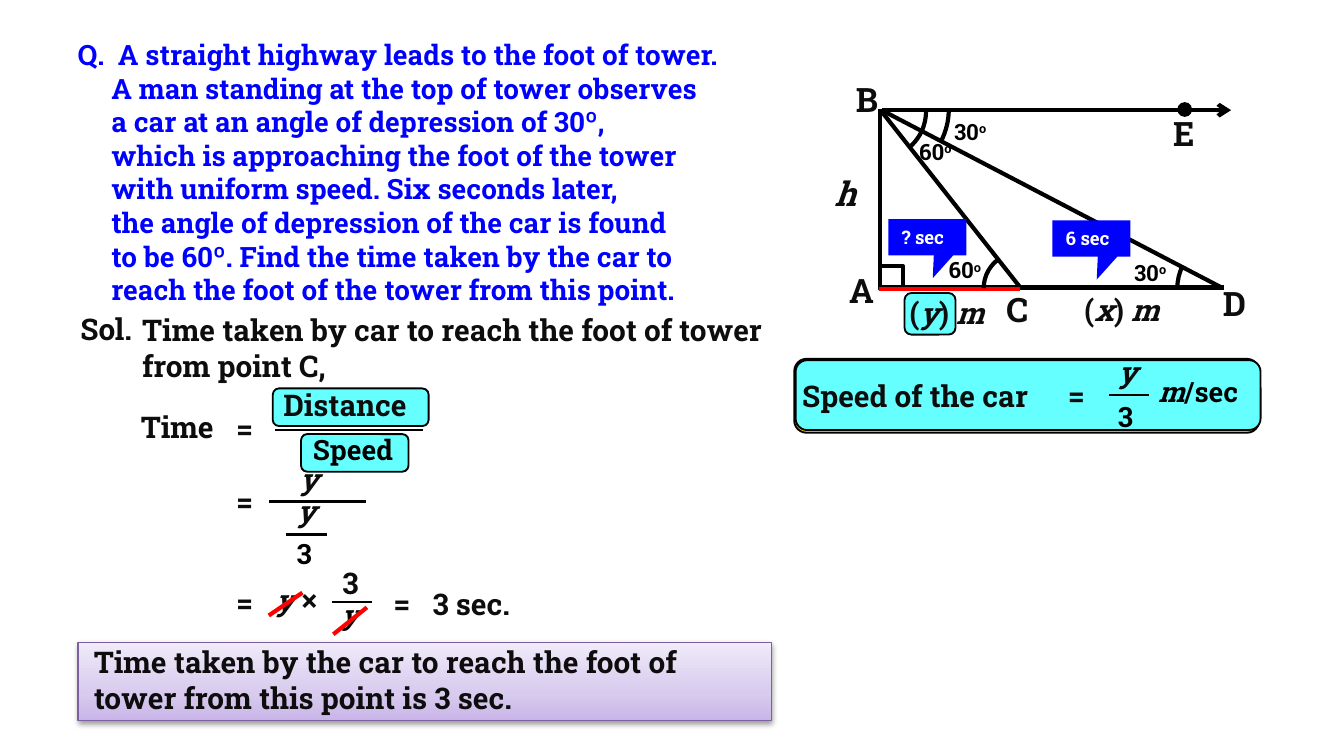
from lxml import etree
from pptx import Presentation
from pptx.dml.color import RGBColor
from pptx.enum import shapes, text
from pptx.oxml import parse_xml
from pptx.oxml.ns import nsdecls, qn
from pptx.util import Inches, Pt


def rgb(code):
    return RGBColor.from_string(code)


def write(sp, content, size=16, color="0D0D0D", align=None, wrap=True, indent=0):
    tf = sp.text_frame
    tf.word_wrap = wrap
    tf.auto_size = text.MSO_AUTO_SIZE.SHAPE_TO_FIT_TEXT
    for i, line in enumerate(content.split("\n")):
        p = tf.paragraphs[0] if i == 0 else tf.add_paragraph()
        p.alignment = align
        if indent:
            p._p.get_or_add_pPr().set("marL", str(Inches(indent)))
        for part in line.split("|"):
            r = p.add_run()
            r.text = part.lstrip("_^")
            r.font.name = "Roboto Slab"
            r.font.size = Pt(size)
            r.font.bold = True
            r.font.italic = part.startswith("_")
            r.font.color.rgb = rgb(color)
            if part.startswith("^"):
                r.font._element.set("baseline", "30000")


prs = Presentation()
prs.slide_width = Inches(10)
prs.slide_height = prs.slide_width * 9 // 16
s = prs.slides.add_slide(prs.slide_layouts[6])
kinds = shapes.MSO_SHAPE

for x, y, w, h, kind, fill, line, width in [
    (2.24, 3.23, 0.8, 0.28, kinds.ROUNDED_RECTANGLE, "66FFFF", "000000", 1),
    (6.73, 2.18, 0.38, 0.31, kinds.ROUNDED_RECTANGLE, "66FFFF", "000000", 1),
    (2.03, 2.89, 1.16, 0.28, kinds.ROUNDED_RECTANGLE, "66FFFF", "000000", 1),
    (5.91, 2.67, 3.46, 0.55, kinds.ROUNDED_RECTANGLE, "FFC000", "000000", 1),
    (5.92, 2.68, 3.46, 0.52, kinds.ROUNDED_RECTANGLE, "66FFFF", "000000", 1),
    (6.55, 1.98, 0.17, 0.17, kinds.RECTANGLE, None, "000000", 2),
    (8.76, 0.76, 0.11, 0.11, kinds.OVAL, "000000", None, 0),
]:
    sp = s.shapes.add_shape(kind, Inches(x), Inches(y), Inches(w), Inches(h))
    sp.shadow.inherit = False
    if fill:
        sp.fill.solid()
        sp.fill.fore_color.rgb = rgb(fill)
    else:
        sp.fill.background()
    if line:
        sp.line.color.rgb = rgb(line)
        sp.line.width = Pt(width)
    else:
        sp.line.fill.background()

answer = s.shapes.add_shape(kinds.RECTANGLE, Inches(0.58), Inches(4.78), Inches(5.16), Inches(0.58))
answer.line.color.rgb = rgb("7D60A0")
answer.line.width = Pt(0.75)
stops = "".join(
    f'<a:gs pos="{pos}"><a:srgbClr val="{color}"/></a:gs>'
    for pos, color in [(0, "C9B5E8"), (35000, "D8CBEE"), (100000, "F0EAF9")]
)
answer._element.spPr.find(qn("a:prstGeom")).addnext(parse_xml(
    f'<a:gradFill {nsdecls("a")} rotWithShape="1"><a:gsLst>{stops}</a:gsLst>'
    '<a:lin ang="16200000" scaled="0"/></a:gradFill>'
))
answer._element.spPr.append(parse_xml(
    f'<a:effectLst {nsdecls("a")}><a:outerShdw blurRad="40000" dist="20000" dir="5400000" '
    'rotWithShape="0"><a:srgbClr val="000000"><a:alpha val="38000"/></a:srgbClr>'
    '</a:outerShdw></a:effectLst>'
))

question = """Q.\tA straight highway leads to the foot of tower.
A man standing at the top of tower observes
a car at an angle of depression of 30º,
which is approaching the foot of the tower
with uniform speed. Six seconds later,
the angle of depression of the car is found
to be 60º. Find the time taken by the car to
reach the foot of the tower from this point."""
sp = s.shapes.add_textbox(Inches(0.48), Inches(0.23), Inches(5.76), Inches(2.12))
write(sp, question, size=15, color="0000FF", align=text.PP_ALIGN.JUSTIFY, indent=0.25)
pPr = sp.text_frame.paragraphs[0]._p.get_or_add_pPr()
pPr.set("marL", str(Inches(0.3)))
pPr.set("indent", str(-Inches(0.3)))

for x, y, w, h, size, content in [
    (0.5, 2.26, 0.69, 0.37, 16, "Sol."),
    (0.96, 2.27, 4.99, 0.64, 16, "Time taken by car to reach the foot of tower from point C,"),
    (0.95, 2.99, 0.8, 0.37, 16, "Time"),
    (1.66, 3.01, 0.33, 0.37, 16, "="),
    (2.01, 2.83, 1.31, 0.37, 16, "Distance"),
    (2.23, 3.17, 0.92, 0.35, 15, "Speed"),
    (1.66, 3.55, 0.33, 0.37, 16, "="),
    (2.13, 3.38, 0.35, 0.37, 16, "_y"),
    (2.11, 3.62, 0.37, 0.37, 16, "_y"),
    (2.11, 3.94, 0.3, 0.35, 15, "3"),
    (1.66, 4.3, 0.33, 0.37, 16, "="),
    (1.95, 4.28, 0.6, 0.37, 16, "_y |×"),
    (2.45, 4.15, 0.37, 0.37, 16, "3"),
    (2.44, 4.4, 0.3, 0.35, 15, "_y"),
    (2.83, 4.31, 0.33, 0.37, 16, "="),
    (3.12, 4.31, 0.9, 0.37, 16, "3 sec."),
    (0.6, 4.74, 5.18, 0.64, 16,
     "Time taken by the car to reach the foot of\ntower from this point is 3 sec."),
    (5.87, 2.76, 2.15, 0.37, 16, "Speed of the car"),
    (7.85, 2.76, 0.33, 0.37, 16, "="),
    (8.22, 2.58, 0.37, 0.37, 16, "_y"),
    (8.22, 2.92, 0.3, 0.35, 15, "3"),
    (8.52, 2.74, 0.92, 0.35, 15, "_m|/sec"),
    (6.22, 1.96, 0.4, 0.4, 18, "A"),
    (6.27, 0.54, 0.37, 0.4, 18, "B"),
    (7.39, 2.1, 0.44, 0.4, 18, "C"),
    (9, 2.06, 0.42, 0.4, 18, "D"),
    (8.63, 0.79, 0.36, 0.4, 18, "E"),
    (6.11, 1.24, 0.38, 0.4, 18, "_h"),
    (6.67, 2.14, 0.79, 0.37, 16, "(|_y|)|_ m"),
    (7.97, 2.12, 0.82, 0.37, 16, "(|_x|)|_ m"),
    (7, 0.83, 0.49, 0.3, 12, "30|^o"),
    (6.74, 0.98, 0.52, 0.3, 12, "60|^o"),
    (6.96, 1.86, 0.55, 0.3, 12, "60|^o"),
    (8.34, 1.88, 0.53, 0.3, 12, "30|^o"),
]:
    sp = s.shapes.add_textbox(Inches(x), Inches(y), Inches(w), Inches(h))
    write(sp, content, size=size, color="000000" if size in (12, 15) else "0D0D0D")

for x1, y1, x2, y2, color, width, arrow in [
    (2.05, 3.2, 3.15, 3.2, "000000", 1.5, False),
    (2, 3.73, 2.72, 3.73, "000000", 1.5, False),
    (2.13, 3.98, 2.43, 3.98, "000000", 1.5, False),
    (2.47, 4.48, 2.77, 4.48, "000000", 1.5, False),
    (8.25, 2.94, 8.55, 2.94, "000000", 1.5, False),
    (2.25, 4.41, 2, 4.58, "FF0000", 2.25, False),
    (2.73, 4.52, 2.48, 4.72, "FF0000", 2.25, False),
    (6.55, 0.81, 6.55, 2.14, "000000", 2.25, False),
    (6.56, 0.82, 9.16, 0.82, "000000", 2.25, True),
    (6.56, 0.83, 7.6, 2.15, "000000", 2.25, False),
    (6.56, 0.82, 9.09, 2.14, "000000", 2.25, False),
    (6.54, 2.14, 9.11, 2.14, "000000", 2.25, False),
    (6.54, 2.15, 7.59, 2.15, "FF0000", 2.25, False),
]:
    c = s.shapes.add_connector(shapes.MSO_CONNECTOR.STRAIGHT,
                               Inches(x1), Inches(y1), Inches(x2), Inches(y2))
    c.line.color.rgb = rgb(color)
    c.line.width = Pt(width)
    if arrow:
        etree.SubElement(c.line._get_or_add_ln(), qn("a:tailEnd"), type="arrow")
    etree.SubElement(c._element.spPr, qn("a:effectLst"))

for x, y, d, start, end in [
    (8.76, 1.77, 0.75, 199.85, 0.56),
    (7.32, 1.88, 0.53, 183.69, 0),
    (6.03, 0.3, 1.03, 91.8, 107.79),
    (6.19, 0.48, 0.7, 77.23, 108.66),
]:
    sp = s.shapes.add_shape(kinds.ARC, Inches(x), Inches(y), Inches(d), Inches(d))
    sp.shadow.inherit = False
    sp.adjustments[0], sp.adjustments[1] = start, end
    sp._element.spPr.find(qn("a:xfrm")).set("flipH", "1")
    sp.fill.background()
    sp.line.color.rgb = rgb("000000")
    sp.line.width = Pt(2.25)

for x, y, content in [(7.83, 1.64, "6 sec"), (6.61, 1.63, "? sec")]:
    sp = s.shapes.add_shape(kinds.RECTANGULAR_CALLOUT, Inches(x), Inches(y), Inches(0.58), Inches(0.27))
    sp.shadow.inherit = False
    sp.adjustments[0], sp.adjustments[1] = 0.07, 1.13
    sp.fill.solid()
    sp.fill.fore_color.rgb = rgb("0000FF")
    sp.line.fill.background()
    write(sp, content, size=10, color="FFFFFF", align=text.PP_ALIGN.LEFT, wrap=False)

prs.save("out.pptx")
